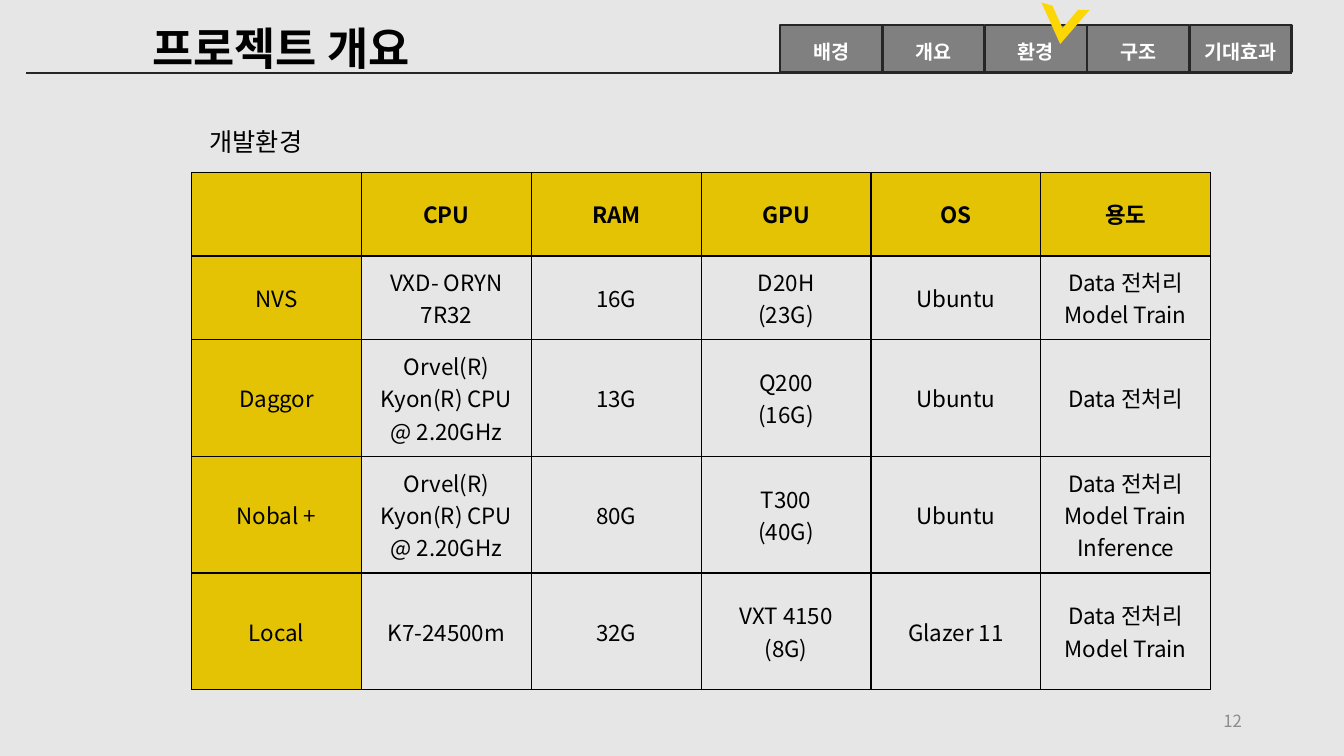
"""Build the development environment slide of a project overview."""
from lxml import etree
from pptx import Presentation
from pptx import util as u
from pptx.dml.color import RGBColor
from pptx.enum import shapes, text
from pptx.oxml import parse_xml
from pptx.oxml.ns import nsdecls, qn

FONT = "Noto Sans CJK KR"
BLACK, WHITE, GRAY, DARK = "000000", "FFFFFF", "808080", "262626"
GOLD, YELLOW = "E3C303", "FCD605"


def color(hex_code):
    return RGBColor.from_string(hex_code)


def format_text(text_frame, size, hex_code, alignment, bold=False):
    for paragraph in text_frame.paragraphs:
        paragraph.alignment = alignment
        for run in paragraph.runs:
            run.font.name = FONT
            run.font.size = u.Pt(size)
            run.font.bold = bold
            run.font.color.rgb = color(hex_code)
            east_asian = etree.SubElement(run.font._element, qn("a:ea"))
            east_asian.set("typeface", FONT)


LEFT, CENTER, RIGHT = text.PP_ALIGN.LEFT, text.PP_ALIGN.CENTER, text.PP_ALIGN.RIGHT
MIDDLE, TOP = text.MSO_ANCHOR.MIDDLE, text.MSO_ANCHOR.TOP

presentation = Presentation()
presentation.slide_width = u.Cm(33.87)
presentation.slide_height = u.Cm(19.05)
slide = presentation.slides.add_slide(presentation.slide_layouts[5])
slide.background.fill.solid()
slide.background.fill.fore_color.rgb = color("E7E6E6")

title = slide.shapes.title
title.left, title.top, title.width, title.height = u.Cm(-2), u.Cm(0.4), u.Cm(18.16), u.Cm(1.63)
title.text_frame.text = "프로젝트 개요"
title.text_frame.auto_size = text.MSO_AUTO_SIZE.NONE
title.text_frame.vertical_anchor = TOP
format_text(title.text_frame, 32, BLACK, CENTER, bold=True)

header_line = slide.shapes.add_connector(
    shapes.MSO_CONNECTOR.STRAIGHT, u.Cm(0.66), u.Cm(1.83), u.Cm(32.56), u.Cm(1.83))
header_line.line.color.rgb = color(DARK)
header_line.line.width = u.Pt(1.5)
etree.SubElement(header_line._element.spPr, qn("a:effectLst"))

for index, label in enumerate(["배경", "개요", "환경", "구조", "기대효과"]):
    tab = slide.shapes.add_shape(
        shapes.MSO_SHAPE.RECTANGLE, u.Cm(19.66 + 2.58 * index), u.Cm(0.64), u.Cm(2.57), u.Cm(1.18))
    tab.shadow.inherit = False
    tab.fill.solid()
    tab.fill.fore_color.rgb = color(GRAY)
    tab.line.color.rgb = color(DARK)
    tab.line.width = u.Pt(1.5)
    tab.text_frame.text = label
    tab.text_frame.margin_bottom = 0
    tab.text_frame.vertical_anchor = MIDDLE
    format_text(tab.text_frame, 14, WHITE, CENTER, bold=True)

for left, top, rotation, flipped in [(26.72, 0.25, 0, "0"), (26.11, 0.15, 16.5, "1")]:
    stripe = slide.shapes.add_shape(
        shapes.MSO_SHAPE.DIAGONAL_STRIPE, u.Cm(left), u.Cm(top), u.Cm(0.74), u.Cm(0.86))
    stripe.adjustments[0] = 0.61
    stripe.rotation = rotation
    stripe._element.spPr.xfrm.set("flipH", flipped)
    stripe.shadow.inherit = False
    stripe.fill.solid()
    stripe.fill.fore_color.rgb = color(YELLOW)
    stripe.line.fill.background()

environments = [
    ["", "CPU", "RAM", "GPU", "OS", "용도"],
    ["NVS", "VXD- ORYN\n7R32", "16G", "D20H\n(23G)", "Ubuntu", "Data 전처리\nModel Train"],
    ["Daggor", "Orvel(R) Kyon(R) CPU @ 2.20GHz", "13G", "Q200\n(16G)", "Ubuntu", "Data 전처리"],
    ["Nobal +", "Orvel(R) Kyon(R) CPU @ 2.20GHz", "80G", "T300\n(40G)", "Ubuntu",
     "Data 전처리\nModel Train\nInference"],
    ["Local", "K7-24500m", "32G", "VXT 4150\n(8G)", "Glazer 11", "Data 전처리\nModel Train"],
]
row_heights = [2.11, 2.11, 2.94, 2.94, 2.94]
table = slide.shapes.add_table(
    len(environments), 6, u.Cm(4.83), u.Cm(4.34), u.Cm(6 * 4.28), u.Cm(sum(row_heights))).table
table.first_row = table.horz_banding = False
for column in table.columns:
    column.width = u.Cm(4.28)
for row_index, values in enumerate(environments):
    table.rows[row_index].height = u.Cm(row_heights[row_index])
    for column_index, value in enumerate(values):
        cell = table.cell(row_index, column_index)
        cell.text_frame.text = value
        cell.vertical_anchor = MIDDLE
        cell.margin_left = cell.margin_right = u.Cm(0.23)
        cell.margin_top = cell.margin_bottom = u.Cm(0.11)
        format_text(cell.text_frame, 16, BLACK, CENTER, bold=row_index == 0)
        for side in ("lnL", "lnR", "lnT", "lnB"):
            cell._tc.get_or_add_tcPr().append(parse_xml(
                f'<a:{side} {nsdecls("a")} w="{u.Pt(1)}"><a:solidFill>'
                f'<a:srgbClr val="{BLACK}"/></a:solidFill></a:{side}>'))
        if row_index == 0 or column_index == 0:
            cell.fill.solid()
            cell.fill.fore_color.rgb = color(GOLD)
        else:
            cell.fill.background()

for words, left, top, width, size, hex_code, alignment, anchor in [
    ("12", 23.93, 17.65, 7.62, 12, "8C8C8C", RIGHT, MIDDLE),
    ("개발환경", 5.03, 3.05, 14.07, 18, BLACK, LEFT, TOP),
]:
    box = slide.shapes.add_textbox(u.Cm(left), u.Cm(top), u.Cm(width), u.Cm(1.02))
    box.text_frame.word_wrap = True
    box.text_frame.vertical_anchor = anchor
    box.text_frame.text = words
    format_text(box.text_frame, size, hex_code, alignment)

presentation.save("out.pptx")
